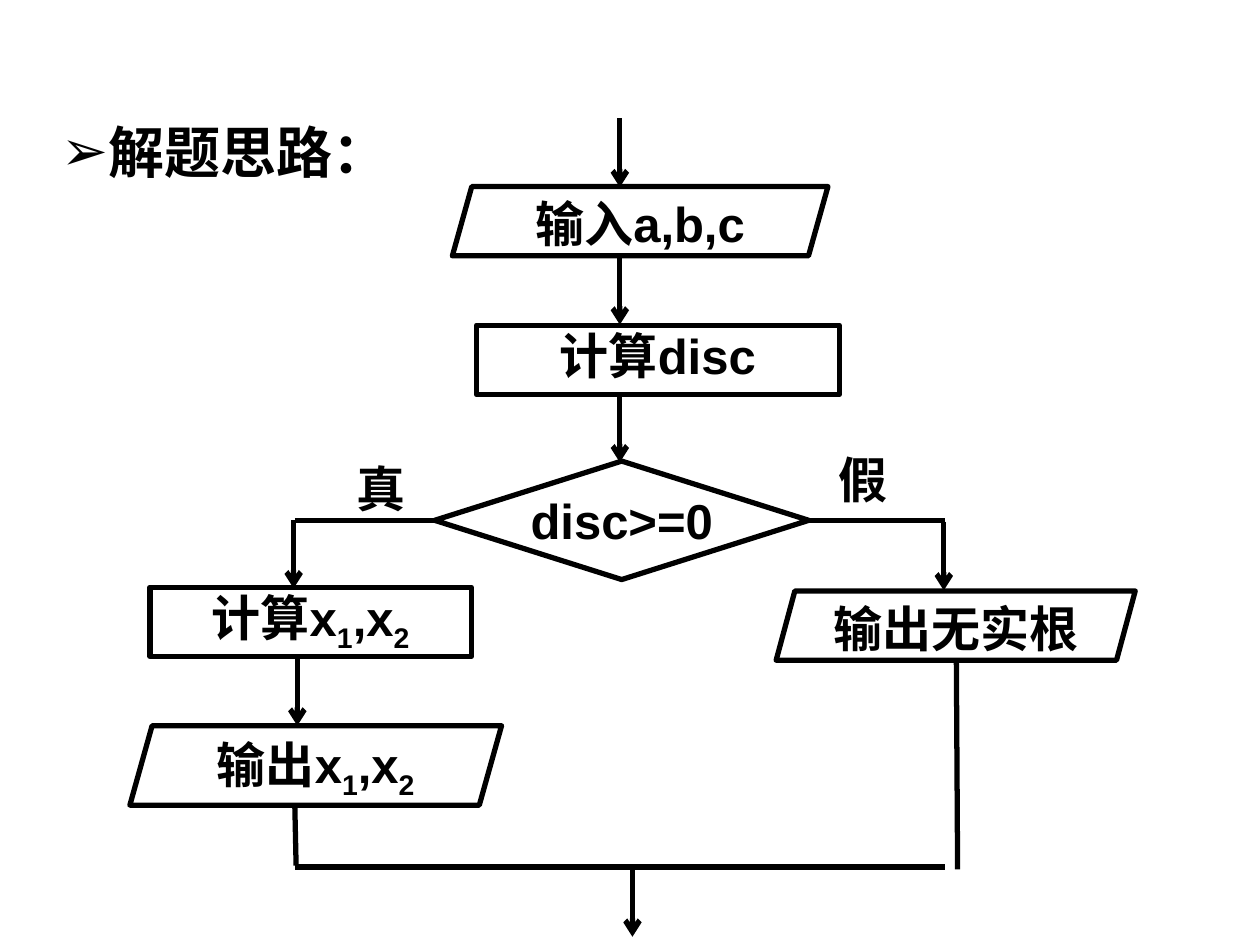
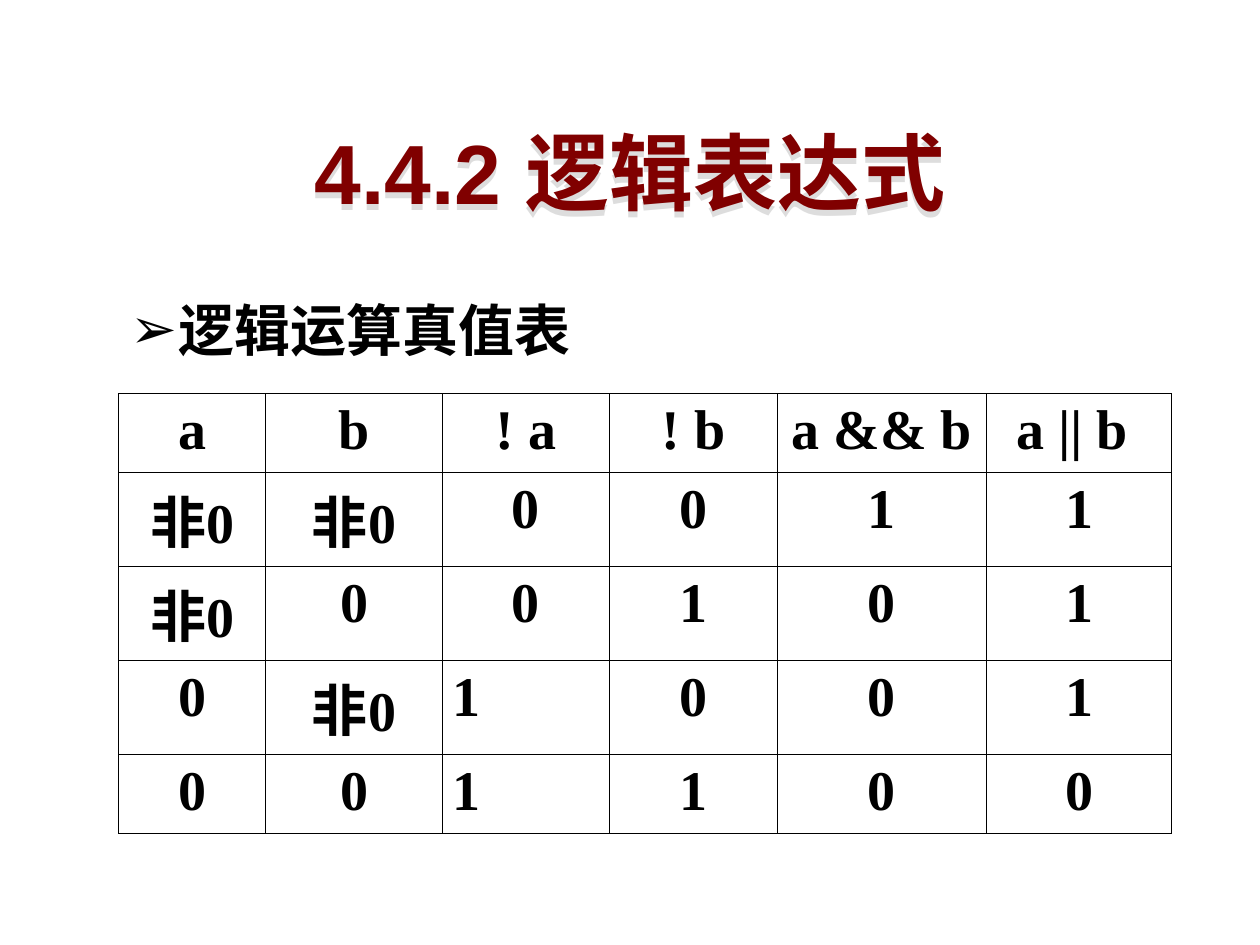
from dataclasses import dataclass

from lxml import etree
from pptx import Presentation
from pptx.dml.color import RGBColor
from pptx.enum.shapes import MSO_CONNECTOR, MSO_SHAPE
from pptx.enum.text import MSO_ANCHOR, PP_ALIGN
from pptx.oxml.ns import qn
from pptx.util import Pt

LEFT, MID, JUST = PP_ALIGN.LEFT, PP_ALIGN.CENTER, PP_ALIGN.JUSTIFY
CENTRE = MSO_ANCHOR.MIDDLE
STEP, TEST = MSO_SHAPE.FLOWCHART_PROCESS, MSO_SHAPE.FLOWCHART_DECISION
DATA = MSO_SHAPE.PARALLELOGRAM
STRAIGHT = MSO_CONNECTOR.STRAIGHT


@dataclass(frozen=True)
class Theme:
    """Colours, fonts and type sizes shared by the slides."""
    ink: str = "000000"
    paper: str = "FFFFFF"
    red: str = "800000"
    shade: str = "DDDDDD"
    sans: str = "Arial"
    body: str = "DejaVu Sans"
    serif: str = "Times New Roman"
    head: int = 48
    point: int = 32
    label: int = 28
    stroke: float = 3
    rule: float = 0.45


LOOK = Theme()
WIDTHS = (84.2, 100.8, 95.8, 95.8, 119.5, 105.8)
HEIGHTS = (42.84, 53.7, 53.7, 53.7, 42.84)
TRUTH = (
    ("a", "b", "! a", "! b", "a && b", "a || b "),
    ("非0", "非0", "0", "0", "1", "1"),
    ("非0", "0", "0", "1", "0", "1"),
    ("0", "非0", "1", "0", "0", "1"),
    ("0", "0", "1", "1", "0", "0"),
)


def rgb(code):
    """Turn a hex code into a colour."""
    return RGBColor.from_string(code)


def node(parent, tag, **attrs):
    """Add a drawing element with the given attributes."""
    child = etree.SubElement(parent, qn("a:" + tag))
    for key, value in attrs.items():
        child.set(key, str(value))
    return child


def paint(parent, code):
    """Add a solid colour to a drawing element."""
    node(node(parent, "solidFill"), "srgbClr", val=code)


def write(frame, text, font=LOOK.sans, size=LOOK.label, color=LOOK.ink,
          align=LEFT, east=True, bullet=None):
    """Write bold text, where an underscore lowers the next character."""
    para = frame.paragraphs[0]
    para.alignment = align
    if bullet:
        para.line_spacing = 1.2
        props = para._p.get_or_add_pPr()
        props.set("marL", str(Pt(27)))
        props.set("indent", str(-Pt(27)))
        node(node(props, "buClr"), "srgbClr", val=color)
        node(props, "buFont", typeface=font)
        node(props, "buChar", char=bullet)
    first, *rest = text.split("_")
    parts = [(first, False)]
    for part in rest:
        parts += [(part[:1], True), (part[1:], False)]
    for part, low in parts:
        if not part:
            continue
        run = para.add_run()
        run.text = part
        run.font.name, run.font.size, run.font.bold = font, Pt(size), True
        run.font.color.rgb = rgb(color)
        props = run._r.get_or_add_rPr()
        if east:
            node(props, "ea", typeface=font)
        if low:
            props.set("baseline", "-25000")


def note(slide, text, left, top, width, height, wrap=True, **style):
    """Add a text box."""
    area = slide.shapes.add_textbox(Pt(left), Pt(top), Pt(width), Pt(height))
    area.text_frame.word_wrap = wrap
    write(area.text_frame, text, **style)


def point(slide, text, left, top, width):
    """Add a bulleted heading line."""
    note(slide, text, left, top, width, 62, font=LOOK.body,
         size=LOOK.point, bullet="➢")


def box(slide, kind, text, left, top, width, height, slant=None):
    """Add a labelled flowchart shape."""
    shape = slide.shapes.add_shape(kind, Pt(left), Pt(top), Pt(width), Pt(height))
    shape.shadow.inherit = False
    shape.fill.solid()
    shape.fill.fore_color.rgb = rgb(LOOK.paper)
    shape.line.color.rgb = rgb(LOOK.ink)
    shape.line.width = Pt(LOOK.stroke)
    if slant:
        shape.adjustments[0] = slant
    frame = shape.text_frame
    frame.margin_left = frame.margin_right = 0
    frame.margin_top = frame.margin_bottom = 0
    frame.vertical_anchor = MSO_ANCHOR.TOP
    frame.word_wrap = False
    write(frame, text, align=MID)
    return shape


def line(slide, x1, y1, x2, y2, arrow=False):
    """Add a straight line, with an open arrowhead if asked."""
    link = slide.shapes.add_connector(STRAIGHT, Pt(x1), Pt(y1), Pt(x2), Pt(y2))
    link.line.color.rgb = rgb(LOOK.ink)
    link.line.width = Pt(LOOK.stroke)
    props = link.element.spPr
    if arrow:
        node(props.find(qn("a:ln")), "tailEnd", type="arrow")
    node(props, "effectLst")
    return link


def drop(slide, x, top, size=39.3):
    """Add an arrow pointing straight down."""
    line(slide, x, top, x, top + size, arrow=True)


def title(slide, text):
    """Place the slide title and give it a soft shadow."""
    area = slide.shapes.title
    area.left, area.top, area.width, area.height = Pt(28), Pt(65), Pt(664), Pt(65.5)
    area.text_frame.vertical_anchor = CENTRE
    area.text_frame.word_wrap = True
    write(area.text_frame, text, size=LOOK.head, color=LOOK.red, align=MID)
    cast = node(node(area.element.spPr, "effectLst"), "outerShdw",
                dist=Pt(3.4), dir=5400000, algn="t", rotWithShape=0)
    node(cast, "srgbClr", val=LOOK.shade)


def edge(cell):
    """Draw thin rules on all sides of a cell."""
    props = cell._tc.get_or_add_tcPr()
    for side in ("lnL", "lnR", "lnT", "lnB"):
        paint(node(props, side, w=Pt(LOOK.rule)), LOOK.ink)


def grid(slide, rows, left, top):
    """Add the truth table."""
    frame = slide.shapes.add_table(len(rows), len(WIDTHS), Pt(left), Pt(top),
                                   Pt(sum(WIDTHS)), Pt(sum(HEIGHTS)))
    table = frame.table
    table.first_row = table.horz_banding = False
    for col, width in zip(table.columns, WIDTHS):
        col.width = Pt(width)
    for r, (row, height) in enumerate(zip(rows, HEIGHTS)):
        table.rows[r].height = Pt(height)
        for c, text in enumerate(row):
            cell = table.cell(r, c)
            cell.margin_left = cell.margin_right = Pt(5.8)
            cell.margin_top = cell.margin_bottom = Pt(3.3)
            edge(cell)
            cell.fill.background()
            align = JUST if c == 2 and r > 2 else MID
            write(cell.text_frame, text, font=LOOK.serif, size=LOOK.point,
                  align=align, east=False)


def flow(slide):
    """Draw the flowchart for solving the equation."""
    point(slide, "解题思路：", 28, 56, 214)
    box(slide, DATA, "输入a,b,c", 258.5, 106.6, 214.6, 39.6, 0.28)
    box(slide, STEP, "计算disc", 272.2, 185.8, 207.4, 39.6)
    test = box(slide, TEST, "disc>=0", 248.4, 263.5, 213.8, 67.7)
    box(slide, STEP, "计算x_1,x_2", 85.7, 335.5, 183.6, 39.6)
    box(slide, DATA, "输出无实根", 443.5, 337.7, 205.2, 39.6, 0.27)
    box(slide, DATA, "输出x_1,x_2", 74.2, 414.7, 212.4, 45.4, 0.28)

    for top in (67.7, 146.2, 224.9):
        drop(slide, 354.2, top)
    for x, top in ((167.8, 296.9), (539.3, 298.1), (169.9, 375.4), (361.4, 496)):
        drop(slide, x, top)

    mid = 297.35
    line(slide, 168.5, mid, 248.4, mid).end_connect(test, 1)
    line(slide, 462.2, mid, 540, mid).begin_connect(test, 3)
    line(slide, 168.5, 495.4, 540, 495.4)
    line(slide, 547.2, 496.8, 546.5, 378)
    line(slide, 169.2, 494.6, 168.5, 461.5)

    note(slide, "真", 196.6, 258.5, 39.6, 41, wrap=False)
    note(slide, "假", 472.3, 253.4, 39.6, 41, wrap=False)


def truth(slide):
    """Build the slide on logical expressions."""
    title(slide, "4.4.2 逻辑表达式")
    point(slide, "逻辑运算真值表", 67.7, 157.7, 444)
    grid(slide, TRUTH, 67.7, 225)


def main():
    """Build and save the deck."""
    deck = Presentation()
    deck.slide_width, deck.slide_height = Pt(720), Pt(540)
    flow(deck.slides.add_slide(deck.slide_layouts[6]))
    truth(deck.slides.add_slide(deck.slide_layouts[5]))
    deck.save("out.pptx")


if __name__ == "__main__":
    main()
